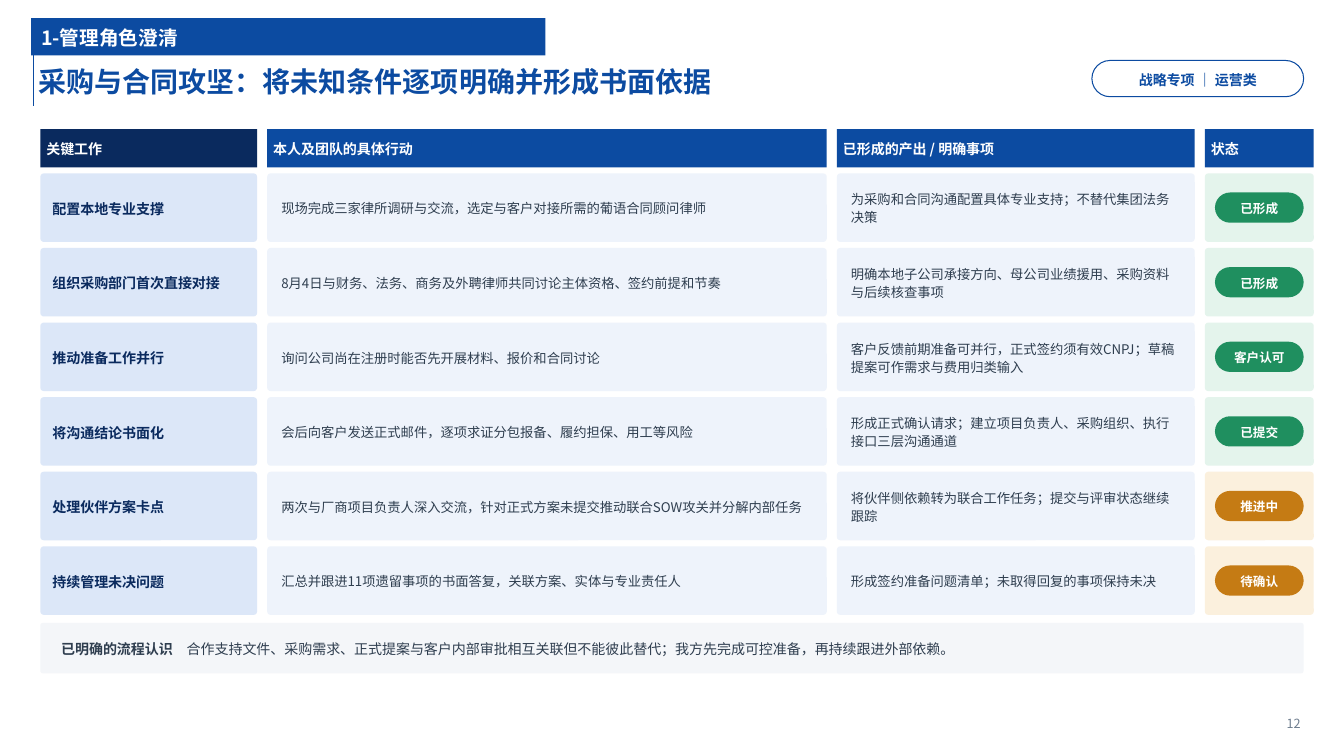
"""Build the procurement and contract progress slide."""
from lxml.etree import SubElement
from pptx import Presentation
from pptx.dml.color import RGBColor
from pptx.enum.shapes import MSO_CONNECTOR, MSO_SHAPE
from pptx.enum.text import MSO_ANCHOR, PP_ALIGN
from pptx.oxml.ns import qn
from pptx.util import Pt

PX = 9144
FONT = "Noto Sans CJK SC"
BLUE, NAVY, WHITE, INK = "0C4BA1", "0A2A5E", "FFFFFF", "2F3E4F"


def color(value):
    return RGBColor.from_string(value)


def add_box(bounds, runs=(), fill=None, line=None, radius=None, insets=(6, 4, 6, 4), **formats):
    bounds = [value * PX for value in bounds]
    if fill:
        kind = MSO_SHAPE.RECTANGLE if radius is None else MSO_SHAPE.ROUNDED_RECTANGLE
        shape = slide.shapes.add_shape(kind, *bounds)
        shape.shadow.inherit = False
        shape.fill.solid()
        shape.fill.fore_color.rgb = color(fill)
        if radius is not None:
            shape.adjustments[0] = radius
        if line:
            shape.line.color.rgb = color(line)
            shape.line.width = Pt(0.75)
        else:
            shape.line.fill.background()
    else:
        shape = slide.shapes.add_textbox(*bounds)
    frame = shape.text_frame
    frame.word_wrap = True
    frame.vertical_anchor = MSO_ANCHOR.MIDDLE
    for side, inset in zip(("left", "top", "right", "bottom"), insets):
        setattr(frame, f"margin_{side}", inset * PX)
    paragraph = frame.paragraphs[0]
    for name, value in {"alignment": PP_ALIGN.LEFT, "line_spacing": 1.12, **formats}.items():
        setattr(paragraph, name, value)
    for text, size, text_color, bold in runs:
        run = paragraph.add_run()
        run.text = text
        for name, value in {"name": FONT, "size": Pt(size), "bold": bold}.items():
            setattr(run.font, name, value)
        run.font.color.rgb = color(text_color)
        SubElement(run.font._element, qn("a:ea"), typeface=FONT)


presentation = Presentation()
presentation.slide_width = 1333 * PX
presentation.slide_height = 750 * PX
slide = presentation.slides.add_slide(presentation.slide_layouts[6])

title_rule = slide.shapes.add_connector(MSO_CONNECTOR.STRAIGHT, 33 * PX, 24 * PX, 33 * PX, 105 * PX)
title_rule.line.color.rgb = color(BLUE)
title_rule.line.width = Pt(1)
SubElement(title_rule._element.spPr, qn("a:effectLst"))

add_box((33, 53, 1150, 52), [("采购与合同攻坚：将未知条件逐项明确并形成书面依据", 20, BLUE, True)], insets=(5, 0, 5, 0))
add_box((31, 18, 510, 37), [("1-管理角色澄清", 14, WHITE, True)], BLUE, insets=(10, 0, 5, 0))
add_box((1083, 60, 210, 36), [("战略专项 ｜ 运营类", 10, BLUE, True)], WHITE, BLUE, 0.5,
        (4, 0, 4, 0), alignment=PP_ALIGN.CENTER)
add_box((1200, 702, 95, 30), [("12", 9, "6F7E8F", False)], insets=(0, 0, 5, 0), alignment=PP_ALIGN.RIGHT)

headers = ["关键工作", "本人及团队的具体行动", "已形成的产出 / 明确事项", "状态"]
widths = [215, 555, 355, 108]
gap = 10
lefts = [40 + sum(widths[:index]) + gap * index for index in range(len(widths))]
for header, left, width in zip(headers, lefts, widths):
    add_box((left, 128, width, 38), [(header, 10, WHITE, True)],
            NAVY if left == lefts[0] else BLUE, space_after=Pt(3))

DONE = ("E4F4EC", "1F8F5F")
OPEN = ("FBF0DD", "C57B14")
rows = [
    ("配置本地专业支撑", "现场完成三家律所调研与交流，选定与客户对接所需的葡语合同顾问律师",
     "为采购和合同沟通配置具体专业支持；不替代集团法务决策", "已形成", DONE),
    ("组织采购部门首次直接对接", "8月4日与财务、法务、商务及外聘律师共同讨论主体资格、签约前提和节奏",
     "明确本地子公司承接方向、母公司业绩援用、采购资料与后续核查事项", "已形成", DONE),
    ("推动准备工作并行", "询问公司尚在注册时能否先开展材料、报价和合同讨论",
     "客户反馈前期准备可并行，正式签约须有效CNPJ；草稿提案可作需求与费用归类输入", "客户认可", DONE),
    ("将沟通结论书面化", "会后向客户发送正式邮件，逐项求证分包报备、履约担保、用工等风险",
     "形成正式确认请求；建立项目负责人、采购组织、执行接口三层沟通通道", "已提交", DONE),
    ("处理伙伴方案卡点", "两次与厂商项目负责人深入交流，针对正式方案未提交推动联合SOW攻关并分解内部任务",
     "将伙伴侧依赖转为联合工作任务；提交与评审状态继续跟踪", "推进中", OPEN),
    ("持续管理未决问题", "汇总并跟进11项遗留事项的书面答复，关联方案、实体与专业责任人",
     "形成签约准备问题清单；未取得回复的事项保持未决", "待确认", OPEN),
]
for index, (task, action, output, status, (tint, accent)) in enumerate(rows):
    top = 172 + 74 * index
    cells = [
        ([(task, 10, NAVY, True)], "DCE7F8", 11),
        ([(action, 9.5, INK, False)], "EEF3FB", 13),
        ([(output, 9.5, INK, False)], "EEF3FB", 13),
        ([], tint, 6),
    ]
    for left, width, (runs, fill, inset) in zip(lefts, widths, cells):
        add_box((left, top, width, 68), runs, fill, radius=0.05, insets=(inset, 4, inset, 4))
    add_box((lefts[3] + 10, top + 19, 88, 30), [(status, 9, WHITE, True)], accent, radius=0.5,
            insets=(4, 0, 4, 0), alignment=PP_ALIGN.CENTER)

conclusion = "　合作支持文件、采购需求、正式提案与客户内部审批相互关联但不能彼此替代；我方先完成可控准备，再持续跟进外部依赖。"
add_box((40, 618, 1253, 50), [("已明确的流程认识", 10, INK, True), (conclusion, 10, INK, False)],
        "F4F6F9", radius=0.05, insets=(20, 4, 20, 4))

presentation.save("out.pptx")
